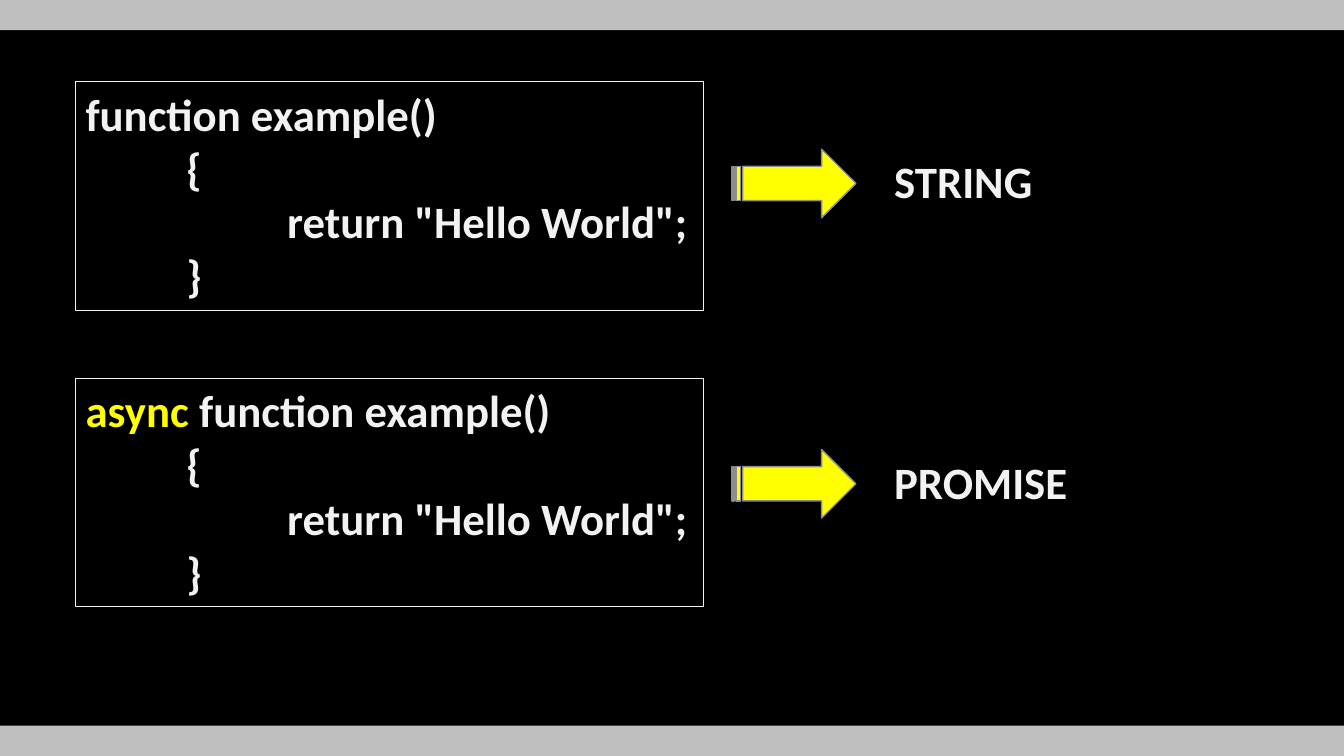
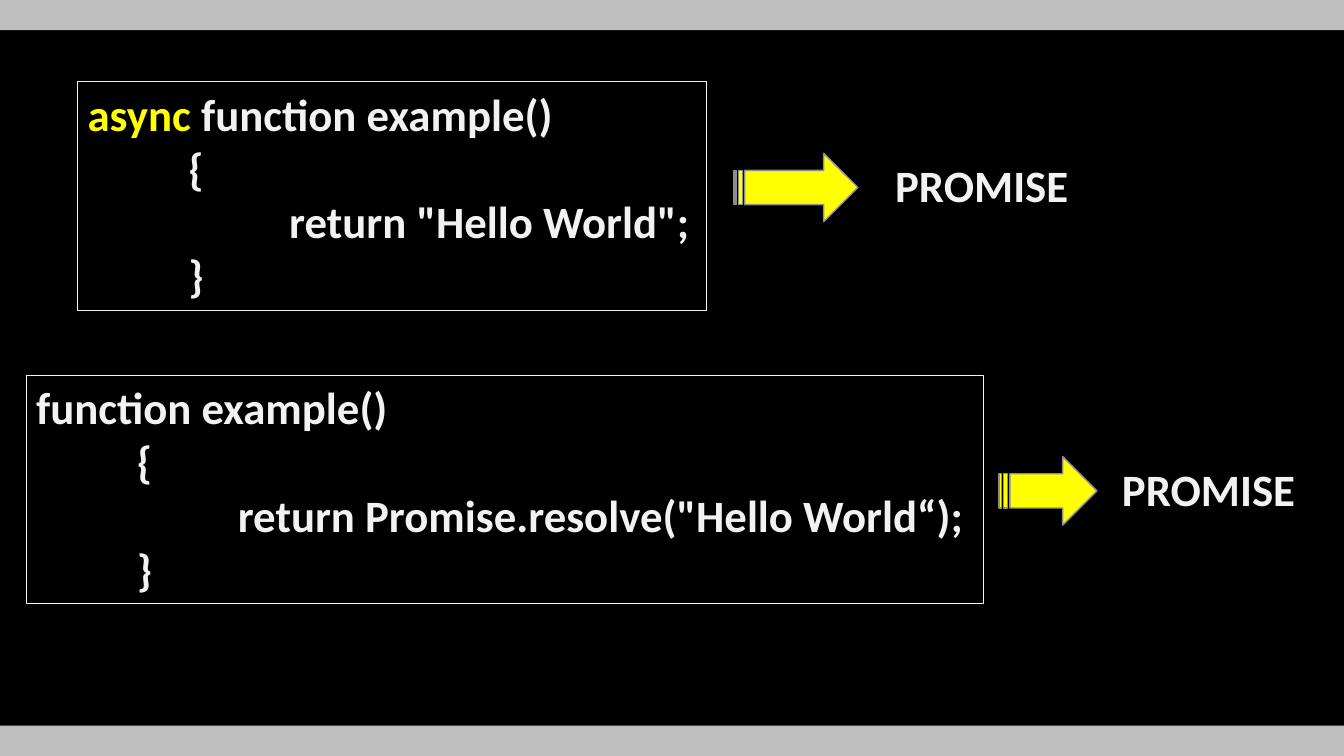
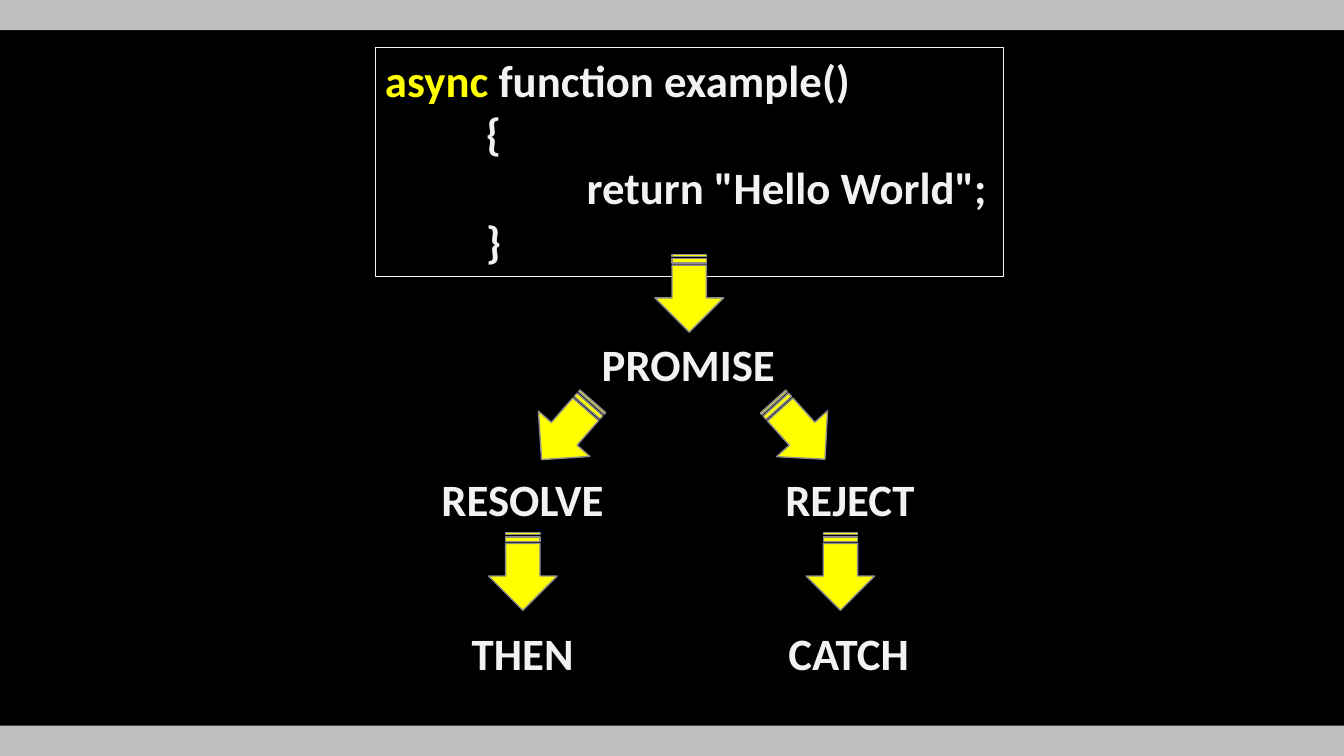
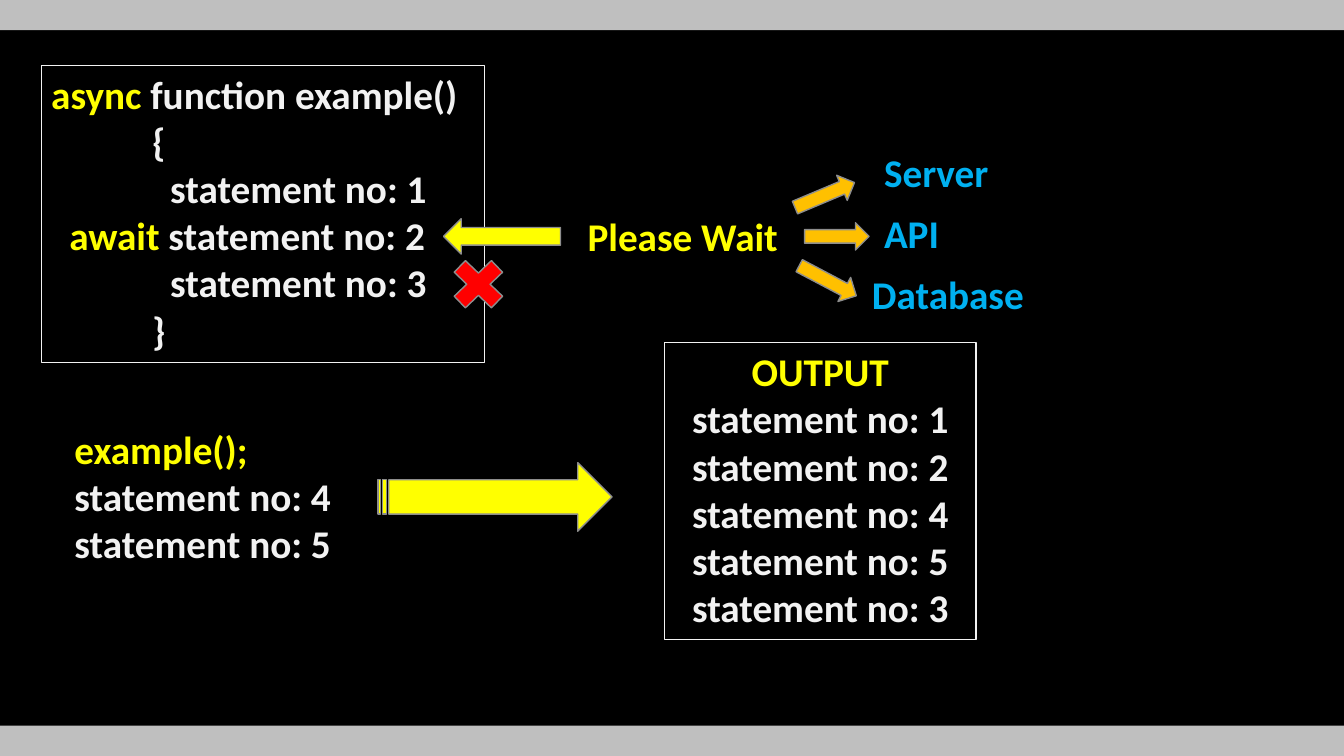
from pptx import Presentation
from pptx.dml.color import RGBColor
from pptx.enum.shapes import MSO_SHAPE
from pptx.enum.text import PP_ALIGN
from pptx.util import Inches, Pt

BLACK = RGBColor(0x00, 0x00, 0x00)
GRAY = RGBColor(0xBF, 0xBF, 0xBF)
OUTLINE = RGBColor(0x8D, 0x8D, 0x8D)
WHITE = RGBColor(0xF2, 0xF2, 0xF2)
YELLOW = RGBColor(0xFF, 0xFF, 0x00)
ORANGE = RGBColor(0xFF, 0xC0, 0x00)
RED = RGBColor(0xFF, 0x00, 0x00)
BLUE = RGBColor(0x00, 0xB0, 0xF0)

RECTANGLE = MSO_SHAPE.RECTANGLE
STRIPED = MSO_SHAPE.STRIPED_RIGHT_ARROW
LEFT_ARROW = MSO_SHAPE.LEFT_ARROW
CROSS = MSO_SHAPE.MATH_MULTIPLY
LEFT, CENTER = PP_ALIGN.LEFT, PP_ALIGN.CENTER

FONT = "Calibri"
LINE_HEIGHT = 1.22


def add_text(page, left, top, width, lines, size=32, frame=None, align=LEFT):
    """Add lines of (indent in inches, [(text, colour), ...]); frame is the outline width in points."""
    height = 0.1 + len(lines) * size * LINE_HEIGHT / 72
    box = page.shapes.add_textbox(Inches(left), Inches(top), Inches(width), Inches(height))
    if frame:
        box.line.color.rgb = WHITE
        box.line.width = Pt(frame)
    box.text_frame.word_wrap = True
    for index, (indent, spans) in enumerate(lines):
        para = box.text_frame.paragraphs[0] if index == 0 else box.text_frame.add_paragraph()
        para.alignment = align
        if indent:
            properties = para._p.get_or_add_pPr()
            properties.set("marL", str(Inches(indent)))
            properties.set("indent", "0")
        for text, color in spans:
            span = para.add_run()
            span.text = text
            span.font.name = FONT
            span.font.size = Pt(size)
            span.font.bold = True
            span.font.color.rgb = color


def add_shape(page, kind, left, top, width, height, fill=YELLOW, rotation=0, outline=OUTLINE):
    shape = page.shapes.add_shape(kind, Inches(left), Inches(top), Inches(width), Inches(height))
    shape.shadow.inherit = False
    shape.rotation = rotation
    shape.fill.solid()
    shape.fill.fore_color.rgb = fill
    if outline is None:
        shape.line.fill.background()
    else:
        shape.line.color.rgb = outline
        shape.line.width = Pt(1)
    return shape


deck = Presentation()
deck.slide_width = Inches(13.33)
deck.slide_height = Inches(7.5)
pages = [deck.slides.add_slide(deck.slide_layouts[6]) for _ in range(4)]

# Shared look: black background and two gray bands on the master
master = deck.slide_master
master.background.fill.solid()
master.background.fill.fore_color.rgb = BLACK
for top in (0, 7.2):
    band = add_shape(pages[0], RECTANGLE, 0, top, 13.33, 0.3, GRAY, outline=None)
    master.shapes.element.append(band.element)

# Code listings
PLAIN_HEAD = (0, [("function example()", WHITE)])
ASYNC_HEAD = (0, [("async", YELLOW), (" function example()", WHITE)])
OPEN_BRACE = (1, [("{", WHITE)])
CLOSE_BRACE = (1, [("}", WHITE)])
RETURN_STRING = (2, [('return "Hello World";', WHITE)])
RETURN_PROMISE = (2, [('return Promise.resolve("Hello World“);', WHITE)])
PLAIN_CODE = [PLAIN_HEAD, OPEN_BRACE, RETURN_STRING, CLOSE_BRACE]
ASYNC_CODE = [ASYNC_HEAD, OPEN_BRACE, RETURN_STRING, CLOSE_BRACE]
RESOLVE_CODE = [PLAIN_HEAD, OPEN_BRACE, RETURN_PROMISE, CLOSE_BRACE]

# Slides 1 and 2: a function, an arrow and what the function returns
comparisons = [
    # page, code, code left, top, width, arrow left, top, width, result, result left
    (pages[0], PLAIN_CODE, 0.75, 0.81, 6.23, 7.26, 1.48, 1.23, "STRING", 8.77),
    (pages[0], ASYNC_CODE, 0.75, 3.75, 6.23, 7.26, 4.46, 1.23, "PROMISE", 8.77),
    (pages[1], ASYNC_CODE, 0.77, 0.81, 6.23, 7.28, 1.52, 1.23, "PROMISE", 8.78),
    (pages[1], RESOLVE_CODE, 0.26, 3.72, 9.49, 9.91, 4.53, 0.97, "PROMISE", 11.03),
]
for (page, code, code_left, code_top, code_width,
     arrow_left, arrow_top, arrow_width, result, result_left) in comparisons:
    add_text(page, code_left, code_top, code_width, code, frame=0.25)
    add_shape(page, STRIPED, arrow_left, arrow_top, arrow_width, 0.68)
    add_text(page, result_left, arrow_top, 1.93, [(0, [(result, WHITE)])])

# Slide 3: how a promise settles
page = pages[2]
add_text(page, 3.72, 0.47, 6.23, ASYNC_CODE, frame=0.25)
for left, top, rotation in [(6.45, 2.57, 90), (5.24, 3.93, 131.3), (7.54, 3.93, 48),
                            (4.8, 5.33, 90), (7.95, 5.33, 90)]:
    add_shape(page, STRIPED, left, top, 0.77, 0.68, rotation=rotation)
for left, top, width, state in [(5.87, 3.29, 1.93, "PROMISE"),
                                (4.28, 4.63, 1.82, "RESOLVE"), (7.69, 4.63, 1.5, "REJECT"),
                                (4.58, 6.16, 1.22, "THEN"), (7.72, 6.16, 1.41, "CATCH")]:
    add_text(page, left, top, width, [(0, [(state, WHITE)])])

# Slide 4: await and the order of the output
page = pages[3]
await_code = [
    ASYNC_HEAD,
    OPEN_BRACE,
    (1.18, [("statement no: 1", WHITE)]),
    (0.18, [("await", YELLOW), (" statement no: 2", WHITE)]),
    (1.18, [("statement no: 3", WHITE)]),
    CLOSE_BRACE,
]
add_text(page, 0.41, 0.65, 4.4, await_code, size=28, frame=0.75)

call = [(0, [("example();", YELLOW)])]
call += [(0, [(f"statement no: {number}", WHITE)]) for number in (4, 5)]
add_text(page, 0.64, 4.17, 3.09, call, size=28)

output = [(0, [("OUTPUT", YELLOW)])]
output += [(0, [(f"statement no: {number}", WHITE)]) for number in (1, 2, 4, 5, 3)]
add_text(page, 6.59, 3.4, 3.09, output, size=28, frame=0.75, align=CENTER)

add_shape(page, LEFT_ARROW, 4.4, 2.17, 1.16, 0.35)
add_text(page, 5.73, 2.06, 2.16, [(0, [("Please Wait", YELLOW)])], size=28)
for arrow_left, arrow_top, rotation, left, top, source in [
    (7.86, 1.8, 157.2, 8.67, 1.42, "Server"),
    (7.98, 2.21, 180, 8.67, 2.03, "API"),
    (7.89, 2.65, 207.8, 8.55, 2.63, "Database"),
]:
    add_shape(page, LEFT_ARROW, arrow_left, arrow_top, 0.64, 0.27, ORANGE, rotation)
    add_text(page, left, top, 2.16, [(0, [(source, BLUE)])], size=28)
add_shape(page, STRIPED, 3.75, 4.59, 2.32, 0.68)
add_shape(page, CROSS, 4.39, 2.48, 0.71, 0.68, RED)

deck.save("out.pptx")
